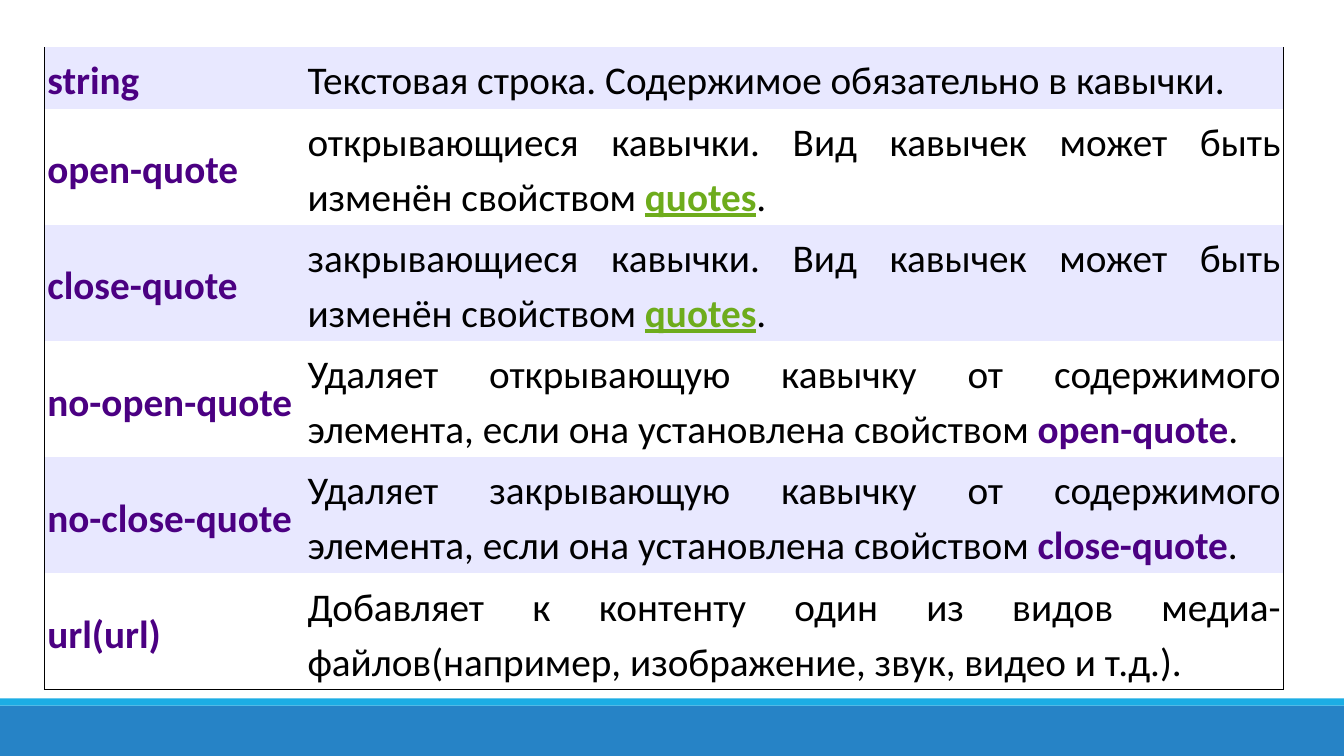
from dataclasses import dataclass

import lxml.etree
import pptx
import pptx.dml.color
import pptx.enum.shapes
import pptx.enum.text
import pptx.oxml.ns
import pptx.util

COLORS = {
    "term": "4B0082",
    "text": "000000",
    "link": "6EAC1C",
    "stripe": "E8E8FF",
    "border": "000000",
    "footer": "2683C6",
    "accent": "1CADE4",
}
WIDTH, HEIGHT = 13.33, 7.5
TABLE_LEFT, TABLE_TOP, TABLE_HEIGHT = 0.44, 0.47, 6.27
COLUMNS = (2.58, 9.71)
ROW_HEIGHT = 0.36
CELL_MARGIN = 0.03
PLAIN_STYLE = "{2D5ABB26-0587-4C30-8999-92F81FD0307C}"


@dataclass(frozen=True)
class Span:
    text: str
    style: str = "text"


@dataclass(frozen=True)
class Entry:
    term: str
    spans: tuple[Span, ...]


@dataclass(frozen=True)
class Band:
    top: float
    height: float
    color: str


BANDS = (Band(7, 0.5, "footer"), Band(6.93, 0.07, "accent"))


def quote_entry(term: str, kind: str) -> Entry:
    text = f"{kind} кавычки. Вид кавычек может быть изменён свойством "
    return Entry(term, (Span(text), Span("quotes", "link"), Span(".")))


def removal_entry(term: str, kind: str) -> Entry:
    text = f"Удаляет {kind} кавычку от содержимого элемента, если она установлена свойством "
    return Entry(f"no-{term}", (Span(text), Span(term, "term"), Span(".")))


ENTRIES = (
    Entry("string", (Span("Текстовая строка. Содержимое обязательно в кавычки."),)),
    quote_entry("open-quote", "открывающиеся"),
    quote_entry("close-quote", "закрывающиеся"),
    removal_entry("open-quote", "открывающую"),
    removal_entry("close-quote", "закрывающую"),
    Entry("url(url)", (Span(
        "Добавляет к контенту один из видов медиа-файлов"
        "(например, изображение, звук, видео и т.д.)."),)),
)


def rgb(name: str) -> pptx.dml.color.RGBColor:
    return pptx.dml.color.RGBColor.from_string(COLORS[name])


def draw_band(slide, band: Band) -> None:
    inches = pptx.util.Inches
    shape = slide.shapes.add_shape(
        pptx.enum.shapes.MSO_SHAPE.RECTANGLE,
        0, inches(band.top), inches(WIDTH), inches(band.height))
    shape.shadow.inherit = False
    shape.fill.solid()
    shape.fill.fore_color.rgb = rgb(band.color)
    shape.line.fill.background()


def draw_borders(cell, sides: str) -> None:
    qn = pptx.oxml.ns.qn
    properties = cell._tc.get_or_add_tcPr()
    for index, side in enumerate(sides):
        line = lxml.etree.Element(qn(f"a:ln{side}"), w=str(pptx.util.Pt(1)))
        fill = lxml.etree.SubElement(line, qn("a:solidFill"))
        lxml.etree.SubElement(fill, qn("a:srgbClr"), val=COLORS["border"])
        properties.insert(index, line)


def fill_cell(cell, spans: tuple[Span, ...], striped: bool) -> None:
    margin = pptx.util.Inches(CELL_MARGIN)
    cell.margin_left = cell.margin_right = margin
    cell.margin_top = cell.margin_bottom = margin
    cell.vertical_anchor = pptx.enum.text.MSO_ANCHOR.MIDDLE
    if striped:
        cell.fill.solid()
        cell.fill.fore_color.rgb = rgb("stripe")
    else:
        cell.fill.background()
    paragraph = cell.text_frame.paragraphs[0]
    paragraph.alignment = pptx.enum.text.PP_ALIGN.JUSTIFY
    paragraph.line_spacing = 1.15
    paragraph.space_after = pptx.util.Pt(10)
    for span in spans:
        run = paragraph.add_run()
        run.text = span.text
        run.font.name = "Calibri"
        run.font.size = pptx.util.Pt(28)
        run.font.bold = span.style != "text"
        run.font.underline = span.style == "link"
        run.font.color.rgb = rgb(span.style)


def draw_table(slide, entries: tuple[Entry, ...]) -> None:
    inches = pptx.util.Inches
    frame = slide.shapes.add_table(
        len(entries), len(COLUMNS), inches(TABLE_LEFT), inches(TABLE_TOP),
        inches(sum(COLUMNS)), inches(TABLE_HEIGHT))
    table = frame.table
    table.first_row = table.horz_banding = False
    table._tbl.tblPr.find(pptx.oxml.ns.qn("a:tableStyleId")).text = PLAIN_STYLE
    for column, width in zip(table.columns, COLUMNS):
        column.width = inches(width)
    for index, entry in enumerate(entries):
        table.rows[index].height = inches(ROW_HEIGHT)
        bottom = "B" if index == len(entries) - 1 else ""
        contents = ((Span(entry.term, "term"),), entry.spans)
        for column, (spans, side) in enumerate(zip(contents, "LR")):
            cell = table.cell(index, column)
            fill_cell(cell, spans, index % 2 == 0)
            draw_borders(cell, side + bottom)
    frame.height = inches(TABLE_HEIGHT)


def main() -> None:
    """Build the slide of values for generated content."""
    presentation = pptx.Presentation()
    presentation.slide_width = pptx.util.Inches(WIDTH)
    presentation.slide_height = pptx.util.Inches(HEIGHT)
    slide = presentation.slides.add_slide(presentation.slide_layouts[6])
    for band in BANDS:
        draw_band(slide, band)
    draw_table(slide, ENTRIES)
    presentation.save("out.pptx")


if __name__ == "__main__":
    main()
